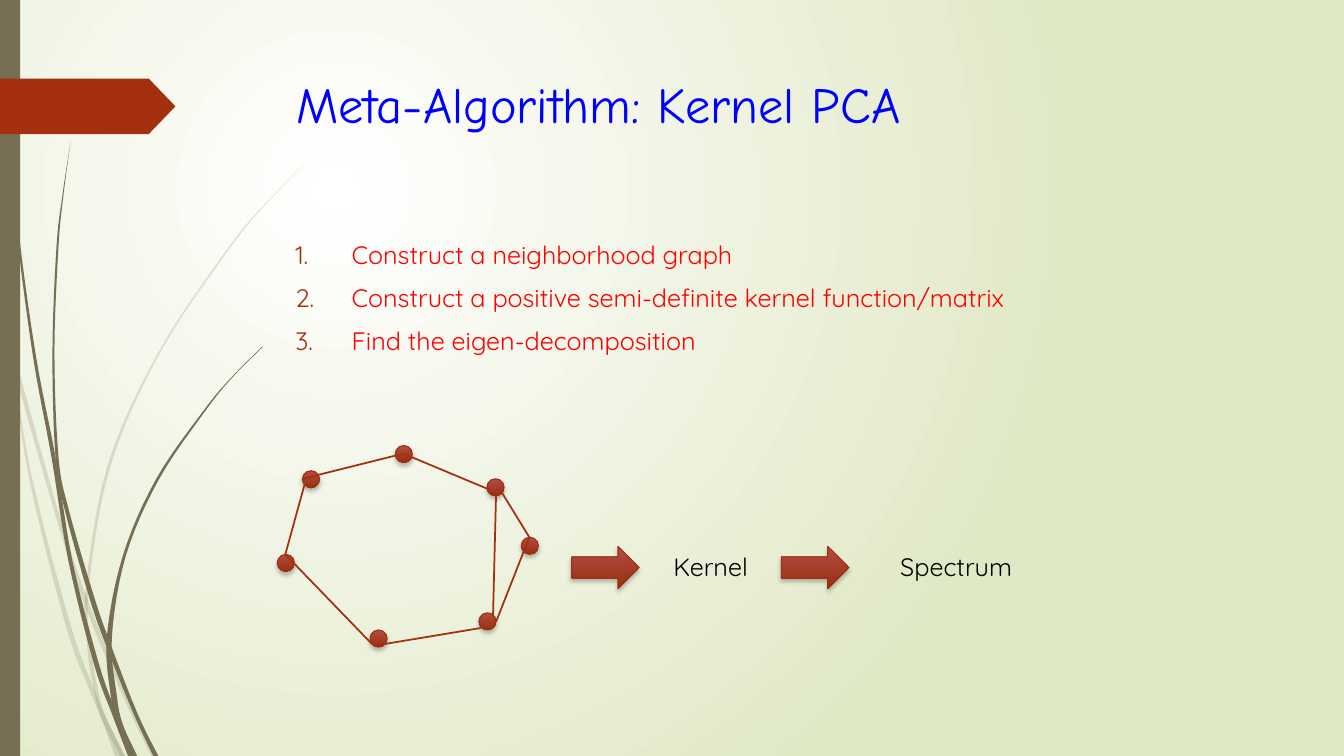
from lxml import etree
from pptx import Presentation
from pptx.dml.color import RGBColor
from pptx.enum.shapes import MSO_CONNECTOR, MSO_SHAPE
from pptx.enum.text import MSO_ANCHOR
from pptx.oxml import parse_xml
from pptx.oxml.ns import nsdecls, qn
from pptx.util import Inches, Pt

NODE, ARROW = MSO_SHAPE.FLOWCHART_CONNECTOR, MSO_SHAPE.RIGHT_ARROW
TAG, BAR = MSO_SHAPE.PENTAGON, MSO_SHAPE.RECTANGLE
STRAIGHT, TOP = MSO_CONNECTOR.STRAIGHT, MSO_ANCHOR.TOP

WHITE = RGBColor(0xFF, 0xFF, 0xFF)
PALE_GREEN = RGBColor(0xDF, 0xE8, 0xC4)
OLIVE = RGBColor(0x76, 0x6F, 0x54)
RUST = RGBColor(0xA5, 0x30, 0x10)
RUST_LIGHT = RGBColor(0xB1, 0x4E, 0x43)
RUST_DARK = RGBColor(0x9A, 0x2D, 0x0F)
RUST_EDGE = RGBColor(0x9E, 0x2E, 0x0F)
BLUE = RGBColor(0x00, 0x00, 0xFF)
RED = RGBColor(0xFF, 0x00, 0x00)
BLACK = RGBColor(0x00, 0x00, 0x00)

# Content
TITLE = "Meta-Algorithm: Kernel PCA"
STEPS = [
    "Construct a neighborhood graph",
    "Construct a positive semi-definite kernel function/matrix",
    "Find the eigen-decomposition",
]
STAGES = [("Kernel", 6.58, 0.96), ("Spectrum", 8.83, 1.38)]  # text, left, width
STAGE_ARROWS = [5.67, 7.75]
STAGE_TOP = 5.42
TITLE_FONT = {"name": "Comic Neue", "size": Pt(36)}
BODY_FONT = {"name": "Quicksand", "size": Pt(18)}

# Neighborhood graph
NODE_SIZE = 0.17
NODES = [(3, 4.67), (3.92, 4.42), (4.83, 4.75), (2.75, 5.5),
         (3.67, 6.25), (4.75, 6.08), (5.17, 5.33)]
EDGES = [
    (3, 4.75, 4, 4.5), (3.02, 4.81, 2.83, 5.5), (2.83, 5.5, 3.69, 6.39),
    (4, 4.5, 4.86, 4.86), (4.98, 4.89, 5.25, 5.33), (5.25, 5.33, 4.92, 6.17),
    (4.77, 6.23, 3.81, 6.39), (4.92, 4.92, 4.89, 6.11),
]

# Grass blades: (y, left edge, right edge) from tip to root
PALE_BLADES = [
    [(2.9, 0, 0.02), (3.5, 0.11, 0.12), (4.7, 0.28, 0.31), (6.2, 0.65, 0.7),
     (6.85, 0.89, 0.94), (7.14, 1.01, 1.06), (7.5, 1.14, 1.24)],
    [(3.45, 0.14, 0.14), (3.76, 0.17, 0.21), (5.21, 0.58, 0.62),
     (6.03, 0.85, 0.9), (6.93, 1.23, 1.27), (7.5, 1.5, 1.55)],
    [(1.53, 3.12, 3.12), (1.98, 2.67, 2.68), (2.45, 2.27, 2.29),
     (3.48, 1.58, 1.6), (4.61, 1.07, 1.1), (5.84, 0.85, 0.88),
     (6.46, 0.87, 0.91), (6.83, 0.93, 0.97), (7.11, 1, 1.05), (7.5, 1.19, 1.24)],
]
DARK_BLADES = [
    [(0, 0.03, 0.04), (1.1, 0.07, 0.08), (2.33, 0.17, 0.19), (3.55, 0.33, 0.36),
     (4.53, 0.51, 0.55), (5.57, 0.68, 0.72), (6.58, 0.93, 0.98),
     (7.08, 1.11, 1.16), (7.5, 1.27, 1.36)],
    [(1.41, 0.7, 0.7), (1.93, 0.62, 0.63), (2.45, 0.56, 0.58), (3.49, 0.52, 0.54),
     (4.53, 0.55, 0.58), (5.05, 0.64, 0.68), (5.91, 0.88, 0.93),
     (6.4, 1.05, 1.1), (7.07, 1.32, 1.36), (7.5, 1.52, 1.57)],
    [(3.44, 2.6, 2.61), (3.74, 2.3, 2.31), (4.06, 2.03, 2.05), (4.75, 1.55, 1.58),
     (5.51, 1.22, 1.25), (6.32, 1.06, 1.11), (6.91, 1.1, 1.16),
     (7.19, 1.17, 1.22), (7.5, 1.3, 1.36)],
]

prs = Presentation()
prs.slide_width, prs.slide_height = Inches(13.33), Inches(7.5)
slide = prs.slides.add_slide(prs.slide_layouts[6])
shapes = slide.shapes


def set_gradient(fill, *colors):
    fill.gradient()
    for stop, color in zip(fill.gradient_stops, colors):
        stop.color.rgb = color


def smooth(knots, steps=6):
    """Catmull-Rom curve through the knots."""
    padded = [knots[0], *knots, knots[-1]]
    curve = [knots[0]]
    for quad in zip(padded, padded[1:], padded[2:], padded[3:]):
        for step in range(1, steps + 1):
            t = step / steps
            curve.append(tuple(
                b + t / 2 * (c - a + t * (2 * a - 5 * b + 4 * c - d
                                          + t * (3 * (b - c) + d - a)))
                for a, b, c, d in zip(*quad)))
    return curve


def add_blade(knots, opacity):
    curve = smooth(knots)
    outline = [(left, y) for y, left, right in curve]
    outline += [(right, y) for y, left, right in reversed(curve)]
    points = [(Inches(x), Inches(y)) for x, y in outline]
    builder = shapes.build_freeform(*points[0], scale=1.0)
    builder.add_line_segments(points[1:], close=True)
    blade = builder.convert_to_shape()
    style_plain(blade, OLIVE)
    color = blade.fill._xPr.find(qn("a:solidFill"))[0]
    etree.SubElement(color, qn("a:alpha")).set("val", str(opacity * 1000))


def style_plain(shape, color):
    shape.shadow.inherit = False
    shape.fill.solid()
    shape.fill.fore_color.rgb = color
    shape.line.fill.background()


def add_preset(kind, left, top, width, height):
    return shapes.add_shape(kind, *map(Inches, (left, top, width, height)))


def add_glossy(kind, *box):
    shape = add_preset(kind, *box)
    set_gradient(shape.fill, RUST_LIGHT, RUST_DARK)
    shape.fill.gradient_angle = 270
    shape.line.color.rgb = RUST_EDGE
    shape.line.width = Pt(0.75)
    shape._element.spPr.append(parse_xml(
        f'<a:effectLst {nsdecls("a")}><a:outerShdw blurRad="{Pt(3)}" dist="{Pt(2)}" '
        'dir="5400000" rotWithShape="0"><a:srgbClr val="000000">'
        '<a:alpha val="25000"/></a:srgbClr></a:outerShdw></a:effectLst>'))


def add_text(lines, box, font, color, wrap=True, numbered=False):
    frame = shapes.add_textbox(*map(Inches, box)).text_frame
    frame.word_wrap, frame.vertical_anchor = wrap, TOP
    for index, line in enumerate(lines):
        paragraph = frame.add_paragraph() if index else frame.paragraphs[0]
        if index:
            paragraph.space_before = Pt(9)
        if numbered:
            props = paragraph._p.get_or_add_pPr()
            props.set("marL", str(Inches(0.56)))
            props.set("indent", str(-Inches(0.56)))
            number_color = etree.SubElement(props, qn("a:buClr"))
            etree.SubElement(number_color, qn("a:srgbClr")).set("val", str(RUST))
            etree.SubElement(props, qn("a:buAutoNum")).set("type", "arabicPeriod")
        run = paragraph.add_run()
        run.text = line
        for key, value in font.items():
            setattr(run.font, key, value)
        run.font.color.rgb = color


# Background glow, centred a quarter in from the top left
backdrop = slide.background.fill
set_gradient(backdrop, WHITE, PALE_GREEN)
gradient = slide._element.find(".//" + qn("a:gradFill"))
gradient.replace(gradient.find(qn("a:lin")), parse_xml(
    f'<a:path {nsdecls("a")} path="circle"><a:fillToRect l="50000" t="50000" '
    'r="100000" b="100000"/></a:path>'))

# Grass, side bar and tag
for blades, opacity in ((PALE_BLADES, 20), (DARK_BLADES, 100)):
    for knots in blades:
        add_blade(knots, opacity)
style_plain(add_preset(BAR, 0, 0, 0.2, 7.5), OLIVE)
tag = add_preset(TAG, 0, 0.78, 1.74, 0.55)
tag.adjustments[0] = 0.48
style_plain(tag, RUST)

# Title and numbered steps
add_text([TITLE], (2.84, 0.68, 9.75, 1.4), TITLE_FONT, BLUE)
add_text(STEPS, (2.83, 2.33, 9.75, 4.13), BODY_FONT, RED, numbered=True)

# Neighborhood graph
for left, top in NODES:
    add_glossy(NODE, left, top, NODE_SIZE, NODE_SIZE)
for ends in EDGES:
    edge = shapes.add_connector(STRAIGHT, *map(Inches, ends))
    edge.line.color.rgb = RUST
    edge.line.width = Pt(1.25)
    etree.SubElement(edge._element.spPr, qn("a:effectLst"))

# Arrows to kernel and spectrum
for left in STAGE_ARROWS:
    add_glossy(ARROW, left, STAGE_TOP, 0.67, 0.42)
for stage, left, width in STAGES:
    add_text([stage], (left, STAGE_TOP, width, 0.4), BODY_FONT, BLACK, wrap=False)

prs.save("out.pptx")
